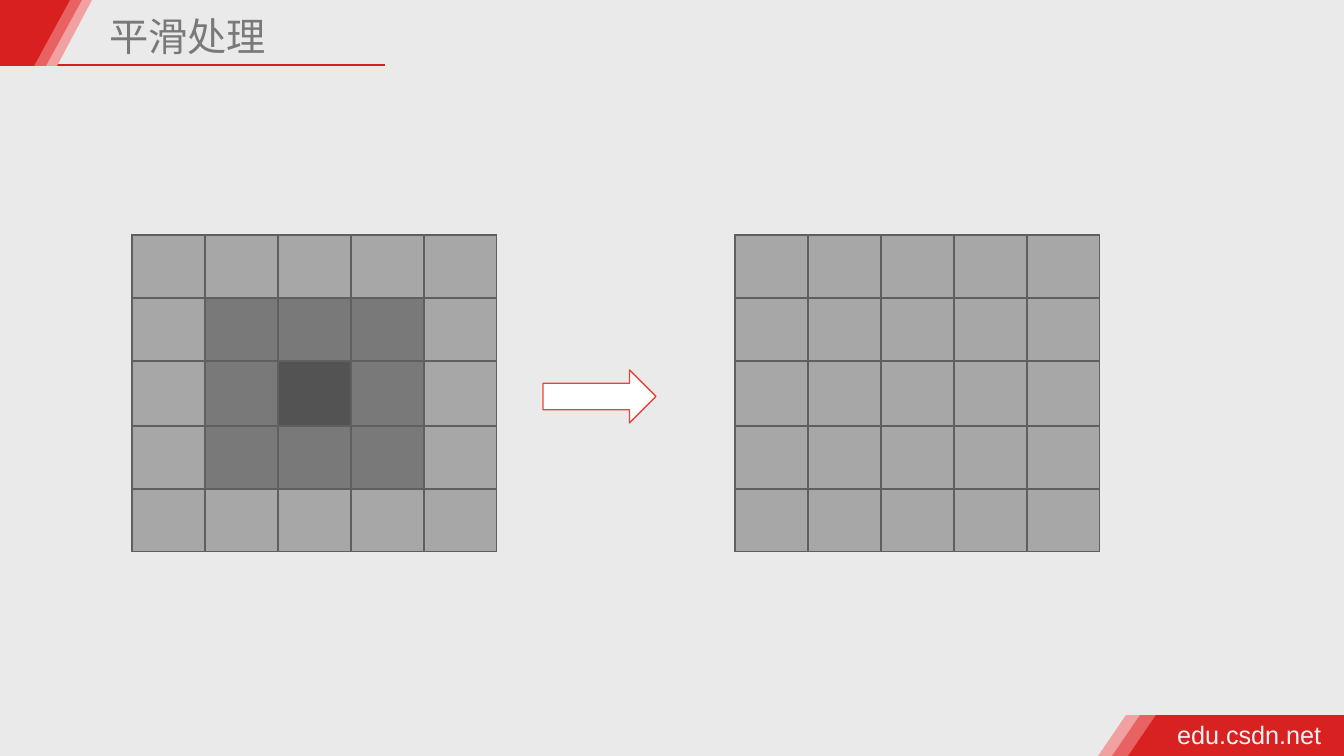
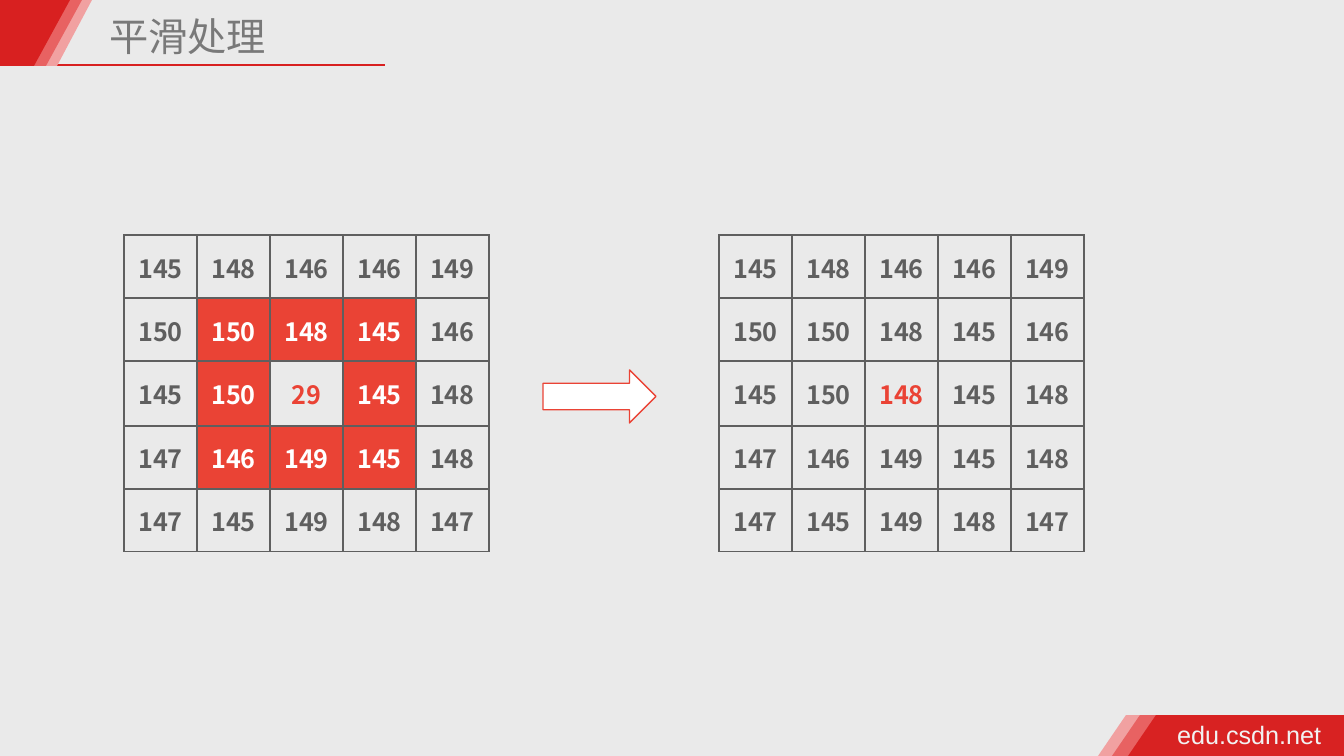
from dataclasses import dataclass
from typing import Optional

import lxml.etree
import pptx
import pptx.dml.color
import pptx.enum.shapes
import pptx.enum.text
import pptx.oxml.ns
import pptx.slide
import pptx.util

EMU_PER_PX = 914400 / 100.8
WIDTH, HEIGHT = 1344, 756


@dataclass(frozen=True)
class Theme:
    background: str = "EAEAEA"
    red: str = "D82020"
    mid_red: str = "E86262"
    pale_red: str = "F1A1A1"
    accent: str = "EA4335"
    white: str = "FFFFFF"
    footer_ink: str = "F2F2F2"
    border: str = "5F5F5F"
    light_gray: str = "A7A7A7"
    mid_gray: str = "797979"
    dark_gray: str = "535353"
    cjk_font: str = "Noto Sans CJK SC"
    latin_font: str = "Arial"
    title_size: int = 28
    body_size: int = 18
    line_width: int = 1


THEME = Theme()


@dataclass(frozen=True)
class Band:
    """A slanted band: its slant runs from x = top to x = bottom."""
    color: str
    top: int
    bottom: int
    alpha: int = 100


@dataclass(frozen=True)
class CellStyle:
    fill: Optional[str]
    ink: str = THEME.border


@dataclass(frozen=True)
class PixelGrid:
    """Cells styled by level: 0 surroundings, 1 ring, 2 centre."""
    left: int
    levels: tuple[str, ...]
    styles: tuple[CellStyle, ...]
    values: Optional[list[list[int]]] = None


HEADER_HEIGHT, FOOTER_TOP = 66, 715
HEADER_BANDS = (
    Band(THEME.pale_red, 92, 57),
    Band(THEME.mid_red, 82, 46),
    Band(THEME.red, 70, 34),
)
FOOTER_BANDS = (
    Band(THEME.pale_red, 1126, 1098),
    Band(THEME.mid_red, 1140, 1112),
    Band(THEME.red, 1156, 1128, alpha=97),
)

GRID_TOP, COLUMN_WIDTH = 235, 73
ROW_HEIGHTS = (63, 63, 65, 63, 63)
FLAT = ("00000",) * 5
RING = ("00000", "01110", "01210", "01110", "00000")
CENTRE = ("00000", "00000", "00200", "00000", "00000")

GRAYS = (
    CellStyle(THEME.light_gray),
    CellStyle(THEME.mid_gray),
    CellStyle(THEME.dark_gray),
)
NUMBERS = (
    CellStyle(None),
    CellStyle(THEME.accent, THEME.white),
    CellStyle(None, THEME.accent),
)
NOISY = [
    [145, 148, 146, 146, 149],
    [150, 150, 148, 145, 146],
    [145, 150, 29, 145, 148],
    [147, 146, 149, 145, 148],
    [147, 145, 149, 148, 147],
]
SMOOTHED = [[148 if value == 29 else value for value in row] for row in NOISY]

SLIDES = (
    (PixelGrid(132, RING, GRAYS), PixelGrid(735, FLAT, GRAYS)),
    (PixelGrid(124, RING, NUMBERS, NOISY), PixelGrid(719, CENTRE, NUMBERS, SMOOTHED)),
)


def px(n: int) -> pptx.util.Emu:
    return pptx.util.Emu(round(n * EMU_PER_PX))


def rgb(color: str) -> pptx.dml.color.RGBColor:
    return pptx.dml.color.RGBColor.from_string(color)


def add_element(parent, tag: str, **attributes: str):
    return lxml.etree.SubElement(parent, pptx.oxml.ns.qn(tag), attributes)


def set_margins(target, left: int, top: int, right: int, bottom: int) -> None:
    target.margin_left, target.margin_top = px(left), px(top)
    target.margin_right, target.margin_bottom = px(right), px(bottom)


def add_run(p, text: str, size: int, color: str, font: str, bold: bool = False) -> None:
    r = p.add_run()
    r.text = text
    r.font.size = pptx.util.Pt(size)
    r.font.bold = bold
    r.font.color.rgb = rgb(color)
    r.font.name = font
    add_element(r.font._element, "a:ea", typeface=font)


def add_band(s: pptx.slide.Slide, band: Band, edge: int, top: int, bottom: int) -> None:
    """Draw a band from its slant to the slide edge at x = edge."""
    builder = s.shapes.build_freeform(band.top, top, scale=EMU_PER_PX)
    builder.add_line_segments([(edge, top), (edge, bottom), (band.bottom, bottom)])
    sp = builder.convert_to_shape()
    sp.shadow.inherit = False
    sp.line.fill.background()
    sp.fill.solid()
    sp.fill.fore_color.rgb = rgb(band.color)
    if band.alpha < 100:
        color = next(sp._element.iter(pptx.oxml.ns.qn("a:srgbClr")))
        add_element(color, "a:alpha", val=str(band.alpha * 1000))


def add_frame(s: pptx.slide.Slide) -> None:
    """Draw the header and footer that every slide carries."""
    underline = s.shapes.add_connector(
        pptx.enum.shapes.MSO_CONNECTOR.STRAIGHT, px(49), px(65), px(385), px(65))
    underline.line.color.rgb = rgb(THEME.red)
    underline.line.width = pptx.util.Pt(THEME.line_width)
    add_element(underline._element.spPr, "a:effectLst")
    for band in FOOTER_BANDS:
        add_band(s, band, WIDTH, FOOTER_TOP, HEIGHT)
    for band in HEADER_BANDS:
        add_band(s, band, 0, 0, HEADER_HEIGHT)
    tf = s.shapes.add_textbox(px(1172), px(714), px(156), px(40)).text_frame
    tf.word_wrap = False
    set_margins(tf, 5, 5, 5, 5)
    add_run(tf.paragraphs[0], "edu.csdn.net", THEME.body_size,
            THEME.footer_ink, THEME.latin_font)


def set_title(s: pptx.slide.Slide, text: str) -> None:
    title = s.shapes.title
    title.left, title.top, title.width, title.height = px(104), px(12), px(440), px(53)
    tf = title.text_frame
    tf.word_wrap = True
    tf.auto_size = pptx.enum.text.MSO_AUTO_SIZE.NONE
    tf.vertical_anchor = pptx.enum.text.MSO_ANCHOR.MIDDLE
    set_margins(tf, 5, 5, 5, 5)
    p = tf.paragraphs[0]
    p.alignment = pptx.enum.text.PP_ALIGN.LEFT
    p.line_spacing = 0.9
    add_run(p, text, THEME.title_size, THEME.mid_gray, THEME.cjk_font)


def set_borders(cell) -> None:
    """Line all four sides; the lines must precede the fill in the cell."""
    tc_pr = cell._tc.get_or_add_tcPr()
    for i, side in enumerate("LRTB"):
        line = add_element(tc_pr, f"a:ln{side}", w=str(pptx.util.Pt(THEME.line_width)))
        add_element(add_element(line, "a:solidFill"), "a:srgbClr", val=THEME.border)
        tc_pr.insert(i, line)


def style_cell(cell, style: CellStyle) -> None:
    if style.fill:
        cell.fill.solid()
        cell.fill.fore_color.rgb = rgb(style.fill)
    else:
        cell.fill.background()
    set_borders(cell)
    cell.vertical_anchor = pptx.enum.text.MSO_ANCHOR.MIDDLE
    set_margins(cell, 1, 1, 1, 0)


def add_grid(s: pptx.slide.Slide, grid: PixelGrid) -> None:
    size = len(ROW_HEIGHTS)
    table = s.shapes.add_table(
        size, size, px(grid.left), px(GRID_TOP),
        px(COLUMN_WIDTH * size), px(sum(ROW_HEIGHTS))).table
    table.first_row = table.horz_banding = False
    for column in table.columns:
        column.width = px(COLUMN_WIDTH)
    for i, height in enumerate(ROW_HEIGHTS):
        table.rows[i].height = px(height)
        for j, level in enumerate(grid.levels[i]):
            cell, style = table.cell(i, j), grid.styles[int(level)]
            style_cell(cell, style)
            if grid.values:
                p = cell.text_frame.paragraphs[0]
                p.alignment = pptx.enum.text.PP_ALIGN.CENTER
                add_run(p, str(grid.values[i][j]), THEME.body_size,
                        style.ink, THEME.cjk_font, bold=True)


def add_arrow(s: pptx.slide.Slide) -> None:
    arrow = s.shapes.add_shape(
        pptx.enum.shapes.MSO_SHAPE.RIGHT_ARROW, px(543), px(370), px(113), px(53))
    arrow.shadow.inherit = False
    arrow.fill.solid()
    arrow.fill.fore_color.rgb = rgb(THEME.white)
    arrow.line.color.rgb = rgb(THEME.accent)
    arrow.line.width = pptx.util.Pt(THEME.line_width)


def main() -> None:
    prs = pptx.Presentation()
    prs.slide_width, prs.slide_height = px(WIDTH), px(HEIGHT)
    background = prs.slide_master.background.fill
    background.solid()
    background.fore_color.rgb = rgb(THEME.background)
    title_only = prs.slide_layouts.get_by_name("Title Only")
    for grids in SLIDES:
        s = prs.slides.add_slide(title_only)
        add_frame(s)
        set_title(s, "平滑处理")
        for grid in grids:
            add_grid(s, grid)
        add_arrow(s)
    prs.save("out.pptx")


if __name__ == "__main__":
    main()
